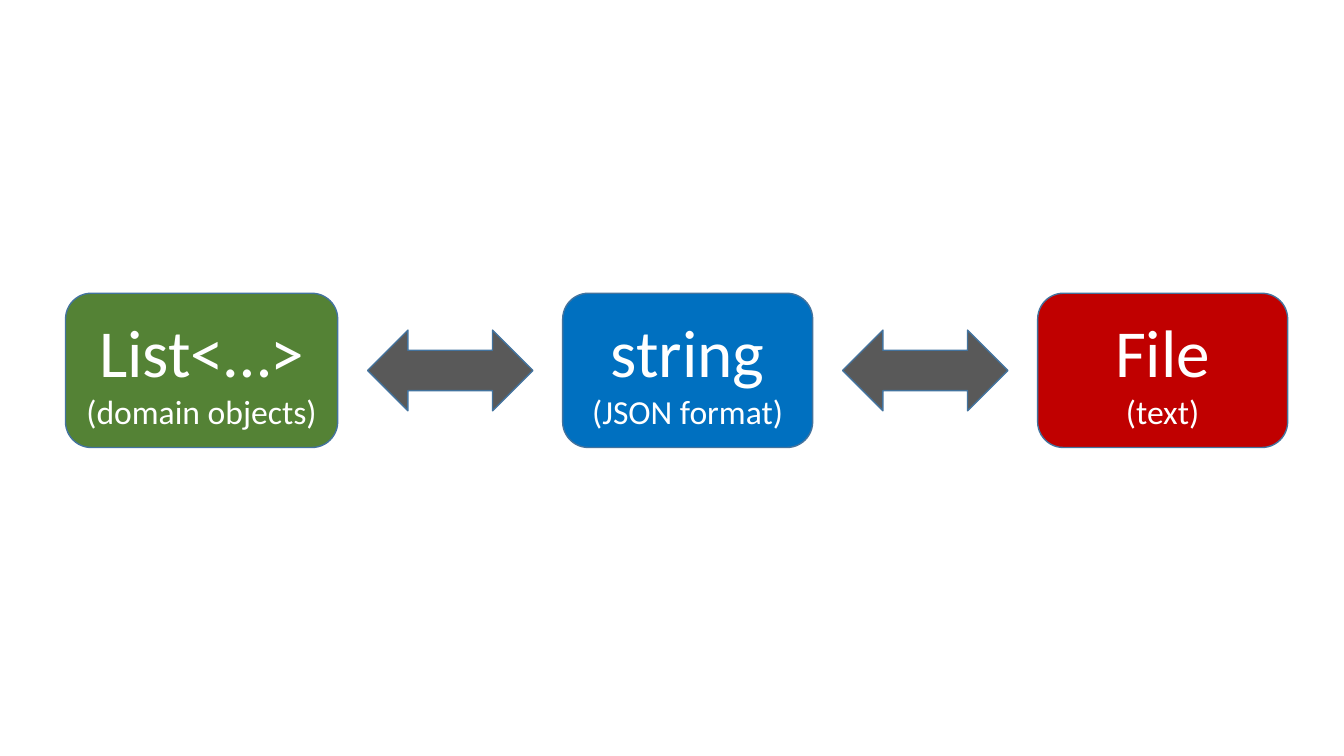
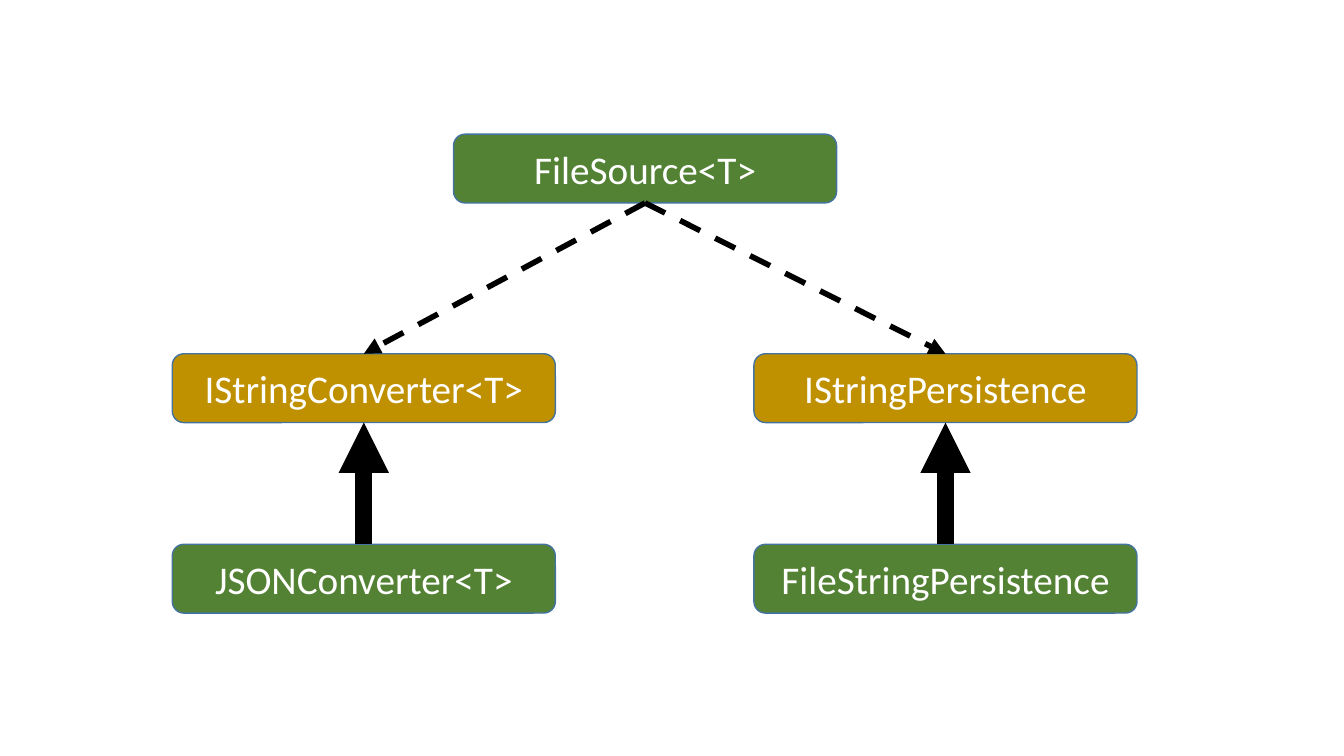
import pptx
import pptx.dml.color
import pptx.enum.dml
import pptx.enum.shapes
import pptx.enum.text
import pptx.oxml.ns
import pptx.util
import lxml.etree

RGBColor = pptx.dml.color.RGBColor
Shape = pptx.enum.shapes.MSO_SHAPE
Dash = pptx.enum.dml.MSO_LINE

GREEN = RGBColor(0x54, 0x82, 0x35)
BLUE = RGBColor(0x00, 0x70, 0xC0)
RED = RGBColor(0xC0, 0x00, 0x00)
GOLD = RGBColor(0xBF, 0x90, 0x00)
GREY = RGBColor(0x59, 0x59, 0x59)
EDGE = RGBColor(0x43, 0x73, 0x9E)
WHITE = RGBColor(0xFF, 0xFF, 0xFF)
BLACK = RGBColor(0x00, 0x00, 0x00)
FONT = "Calibri"

deck = pptx.Presentation()
deck.slide_width = pptx.util.Inches(13.33)
deck.slide_height = pptx.util.Inches(7.5)
COL = deck.slide_width / 100
ROW = deck.slide_height / 100
blank = deck.slide_layouts[6]


def add_block(slide, kind, left, top, wide, high, fill, lines=()):
    block = slide.shapes.add_shape(
        kind, int(left * COL), int(top * ROW), int(wide * COL), int(high * ROW))
    block.shadow.inherit = False
    block.fill.solid()
    block.fill.fore_color.rgb = fill
    block.line.color.rgb = EDGE
    block.line.width = pptx.util.Pt(1)
    frame = block.text_frame
    frame.vertical_anchor = pptx.enum.text.MSO_ANCHOR.MIDDLE
    for row, (text, size) in enumerate(lines):
        para = frame.add_paragraph() if row else frame.paragraphs[0]
        para.alignment = pptx.enum.text.PP_ALIGN.CENTER
        run = para.add_run()
        run.text = text
        run.font.name = FONT
        run.font.size = pptx.util.Pt(size)
        run.font.color.rgb = WHITE
    return block


def add_link(slide, start, site, end, goal, width, dash):
    link = slide.shapes.add_connector(
        pptx.enum.shapes.MSO_CONNECTOR.STRAIGHT, 0, 0, 0, 0)
    link.begin_connect(start, site)
    link.end_connect(end, goal)
    link.line.color.rgb = BLACK
    link.line.width = pptx.util.Pt(width)
    link.line.dash_style = dash
    qn = pptx.oxml.ns.qn
    props = link.element.find(qn("p:spPr"))
    lxml.etree.SubElement(props.find(qn("a:ln")), qn("a:tailEnd"), type="triangle")
    lxml.etree.SubElement(props, qn("a:effectLst"))


flow = deck.slides.add_slide(blank)
MID, HIGH, GAP = 49, 20.4, 2.22
SPAN, THICK = 12.3, 10.67
steps = [
    ("List<…>", "(domain objects)", 20.25, GREEN),
    ("string", "(JSON format)", 18.6, BLUE),
    ("File", "(text)", 18.6, RED),
]
left = 4.88
for step, (name, note, wide, fill) in enumerate(steps):
    if step:
        add_block(flow, Shape.LEFT_RIGHT_ARROW, left, MID - THICK / 2, SPAN, THICK, GREY)
        left += SPAN + GAP
    add_block(flow, Shape.ROUNDED_RECTANGLE, left, MID - HIGH / 2, wide, HIGH, fill,
              [(name, 48), (note, 24)])
    left += wide + GAP

tree = deck.slides.add_slide(blank)
TOP, MIDDLE, BASE = 17.75, 46.8, 72
WIDE, TALL, SIZE = 28.5, 9.1, 28
BELOW, ABOVE = 2, 0
root = add_block(tree, Shape.ROUNDED_RECTANGLE, 33.75, TOP, WIDE, TALL, GREEN,
                 [("FileSource<T>", SIZE)])
pairs = [
    (12.82, "IStringConverter<T>", "JSONConverter<T>"),
    (56.1, "IStringPersistence", "FileStringPersistence"),
]
for left, role, kind in pairs:
    face = add_block(tree, Shape.ROUNDED_RECTANGLE, left, MIDDLE, WIDE, TALL, GOLD,
                     [(role, SIZE)])
    leaf = add_block(tree, Shape.ROUNDED_RECTANGLE, left, BASE, WIDE, TALL, GREEN,
                     [(kind, SIZE)])
    add_link(tree, leaf, ABOVE, face, BELOW, 12, Dash.SOLID)
    add_link(tree, root, BELOW, face, ABOVE, 4, Dash.DASH)

deck.save("out.pptx")
